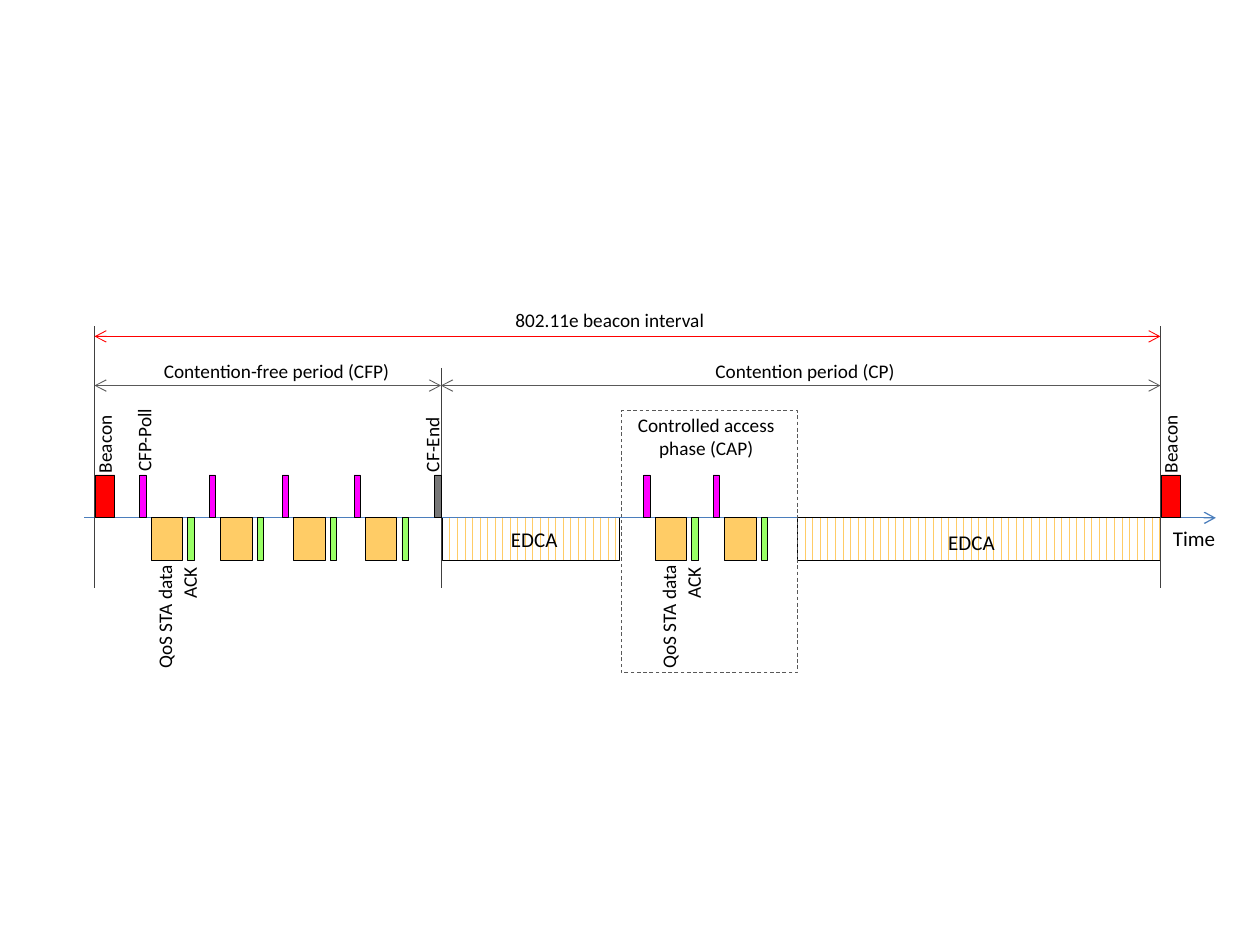
from lxml import etree
from pptx import Presentation
from pptx.dml.color import RGBColor
from pptx.enum import dml, shapes, text
from pptx.oxml.ns import qn
from pptx.util import Inches, Pt

HUES = {
    "black": "000000", "white": "FFFFFF", "red": "FF0000", "poll": "FF00FF",
    "data": "FFCC66", "ack": "99FF66", "end": "777777", "edge": "404040",
    "span": "595959", "axis": "4B7EBC",
}
START, MID, END = 0.75, 3.5, 9.21
AXIS, HIGH = 4.11, 0.34
ABOVE = AXIS - HIGH


def hue(name):
    return RGBColor.from_string(HUES[name])


def write(frame, words, size=11, align="LEFT", font="Calibri", color="black"):
    para = frame.paragraphs[0]
    para.text = words
    para.alignment = getattr(text.PP_ALIGN, align)
    for run in para.runs:
        run.font.name = font
        run.font.size = Pt(size)
        run.font.color.rgb = hue(color)


class Chart:
    def __init__(self, slide, width=0.5):
        self.slide = slide
        self.width = width

    def box(self, x, y, w, h, fill=None, line="black", dash=False, hatch=False):
        rect = self.slide.shapes.add_shape(
            shapes.MSO_SHAPE.RECTANGLE, Inches(x), Inches(y), Inches(w), Inches(h))
        rect.shadow.inherit = False
        if hatch:
            rect.fill.patterned()
            rect.fill.pattern = dml.MSO_PATTERN.DASHED_VERTICAL
            rect.fill.fore_color.rgb = hue(fill)
            rect.fill.back_color.rgb = hue("white")
        elif fill:
            rect.fill.solid()
            rect.fill.fore_color.rgb = hue(fill)
        else:
            rect.fill.background()
        rect.line.color.rgb = hue(line)
        rect.line.width = Pt(self.width)
        if dash:
            rect.line.dash_style = dml.MSO_LINE.DASH
        return rect

    def line(self, x1, y1, x2, y2, color, width=None, ends=()):
        link = self.slide.shapes.add_connector(
            shapes.MSO_CONNECTOR.STRAIGHT,
            Inches(x1), Inches(y1), Inches(x2), Inches(y2))
        link.line.color.rgb = hue(color)
        link.line.width = Pt(width or self.width)
        props = link.line._get_or_add_ln()
        for end in ends:
            etree.SubElement(props, qn(f"a:{end}"), type="arrow")
        etree.SubElement(link._element.spPr, qn("a:effectLst"))
        return link

    def label(self, words, x, y, w, h=0.29, turn=0, **style):
        note = self.slide.shapes.add_textbox(
            Inches(x), Inches(y), Inches(w), Inches(h))
        note.rotation = turn
        note.text_frame.word_wrap = False
        note.text_frame.auto_size = text.MSO_AUTO_SIZE.SHAPE_TO_FIT_TEXT
        write(note.text_frame, words, **style)
        return note

    def span(self, x1, x2, y, color):
        self.line(x1, y, x2, y, color, ends=("headEnd", "tailEnd"))

    def beacon(self, x):
        self.box(x + 0.01, ABOVE, 0.15, HIGH, "red")
        self.label("Beacon", x - 0.25, 3.38, 0.66, turn=270, align="CENTER")

    def poll(self, x):
        self.box(x, ABOVE, 0.05, HIGH, "poll")
        self.box(x + 0.09, AXIS, 0.25, HIGH, "data")
        self.box(x + 0.38, AXIS, 0.05, HIGH, "ack")

    def reply(self, x):
        self.label("QoS STA data", x - 0.32, 4.75, 1.04, turn=270, align="CENTER")
        self.label("ACK", x + 0.17, 4.48, 0.45, turn=270)

    def edca(self, x, w, left, top):
        self.box(x, AXIS, w, HIGH, "data", hatch=True)
        self.label("EDCA", left, top, 0.58, 0.3, size=12, align="CENTER")


def main():
    deck = Presentation()
    deck.slide_width, deck.slide_height = Inches(10), Inches(7.5)
    chart = Chart(deck.slides.add_slide(deck.slide_layouts[6]))

    chart.edca(3.51, 1.41, 3.95, 4.13)
    chart.line(0.67, AXIS, 9.65, AXIS, "axis", 0.75, ["tailEnd"])
    chart.label("Time", 9.21, 4.12, 0.54, 0.3, size=12)
    chart.edca(6.33, 2.88, 7.42, 4.15)

    for x, top in ((START, 2.59), (MID, 2.92), (END, 2.59)):
        chart.line(x, top, x, 4.67, "edge")
    chart.span(START, END, 2.67, "red")
    chart.span(START, MID, 3.06, "span")
    chart.span(MID, END, 3.06, "span")
    for words, x, y, w, h in (
        ("802.11e beacon interval", 3.98, 2.4, 1.72, 0.29),
        ("Contention-free period (CFP)", 1.19, 2.8, 2.01, 0.29),
        ("Contention period (CP)", 5.57, 2.8, 1.64, 0.29),
        ("Controlled access\nphase (CAP)", 4.96, 3.23, 1.29, 0.47),
    ):
        chart.label(words, x, y, w, h, align="CENTER")

    for x in (START, END):
        chart.beacon(x)
    for x in (1.11, 1.66, 2.24, 2.81, 5.11, 5.66):
        chart.poll(x)
    for x in (1.11, 5.11):
        chart.reply(x)
    chart.label("CFP-Poll", 0.79, 3.35, 0.71, turn=270, align="CENTER")
    chart.box(3.45, ABOVE, 0.05, HIGH, "end")
    chart.label("CF-End", 3.11, 3.38, 0.64, turn=270)
    chart.box(4.93, 3.26, 1.4, 2.08, line="span", dash=True)

    deck.save("out.pptx")


if __name__ == "__main__":
    main()
